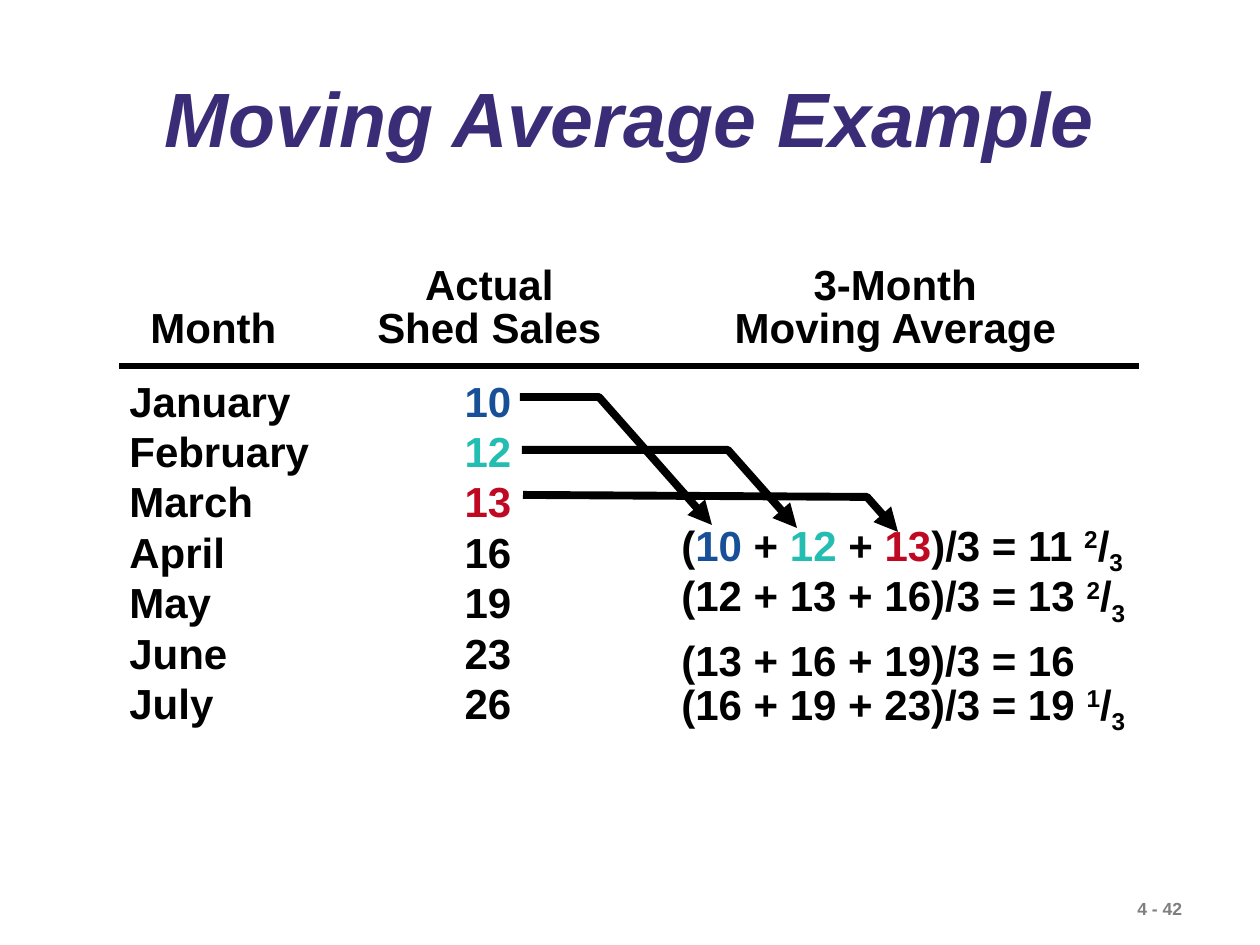
from lxml.etree import SubElement
from pptx import Presentation
from pptx.dml.color import RGBColor
from pptx.enum.shapes import MSO_CONNECTOR
from pptx.enum.text import MSO_ANCHOR, PP_ALIGN
from pptx.oxml.ns import qn
from pptx.util import Emu, Pt

TITLE = "Moving Average Example"
PAGE = "4 - 42"
HEADERS = ["\t\tActual\t3-Month", "\tMonth\tShed Sales\tMoving Average"]
SALES = [("January", 10), ("February", 12), ("March", 13), ("April", 16),
         ("May", 19), ("June", 23), ("July", 26)]
WINDOW = 3
ARROWS = [
    [(520, 397), (599, 397), (712, 525)],
    [(522, 450), (728, 450), (797, 528)],
    [(523, 495), (867, 497), (898, 532)],
]
THEME = {
    "font": "Arial", "title": "3A2C76", "text": "000000", "page": "7F7F7F",
    "highlights": ["175097", "24BDB2", "BF0922"],
    "title_size": 44, "body_size": 24, "page_size": 10,
    "header_pitch": 24.6, "row_pitch": 28.8, "june_gap": 4.5,
    "rule": 3, "arrow": 4.5,
}
SUPERSCRIPT, SUBSCRIPT = 30000, -25000
PX = 914400 // 126
LEFT, TOP, RIGHT = 117, 369, 1142
HEADER_TABS = [(79, "ctr"), (355, "ctr"), (761, "ctr")]
SALES_TABS = [(382, "r")]
AVERAGE_INDENT = 552


def px(n):
    return Emu(n * PX)


def color(name):
    return RGBColor.from_string(name)


def add_text(s, box, paragraphs, size, pitch=None, tabs=(), base_color=THEME["text"]):
    """Each paragraph is a list of (text, colour or None, baseline) runs."""
    tf = s.shapes.add_textbox(*map(px, box)).text_frame
    tf.word_wrap = True
    for i, runs in enumerate(paragraphs):
        p = tf.paragraphs[0] if i == 0 else tf.add_paragraph()
        if tabs:
            tab_list = SubElement(p._p.get_or_add_pPr(), qn("a:tabLst"))
            for pos, align in tabs:
                SubElement(tab_list, qn("a:tab"), pos=str(px(pos)), algn=align)
        if pitch:
            p.line_spacing = Pt(pitch)
        for text, run_color, baseline in runs:
            r = p.add_run()
            r.text = text
            r.font.name = THEME["font"]
            r.font.size = Pt(size)
            r.font.bold = True
            r.font.color.rgb = color(run_color or base_color)
            if baseline:
                r.font._element.set("baseline", str(baseline))
    return tf


def average_runs(first):
    """Write the mean of the months from first on as a sum and a mixed number."""
    values = [value for _, value in SALES[first:first + WINDOW]]
    whole, rest = divmod(sum(values), WINDOW)
    runs = [("(", None, 0)]
    for i, value in enumerate(values):
        if i:
            runs.append((" + ", None, 0))
        runs.append((str(value), THEME["highlights"][i] if first == 0 else None, 0))
    runs.append((f")/{WINDOW} = {whole}" + (" " if rest else ""), None, 0))
    if rest:
        runs += [(str(rest), None, SUPERSCRIPT), ("/", None, 0),
                 (str(WINDOW), None, SUBSCRIPT)]
    return runs


def add_arrow(s, points):
    start, *rest = [(px(x), px(y)) for x, y in points]
    builder = s.shapes.build_freeform(*start)
    builder.add_line_segments(rest, close=False)
    sp = builder.convert_to_shape()
    sp.shadow.inherit = False
    sp.fill.background()
    sp.line.color.rgb = color(THEME["text"])
    sp.line.width = Pt(THEME["arrow"])
    ln = sp.line._get_or_add_ln()
    SubElement(ln, qn("a:round"))
    SubElement(ln, qn("a:tailEnd"), type="triangle")


def main():
    prs = Presentation()
    prs.slide_width, prs.slide_height = px(1260), px(945)
    s = prs.slides.add_slide(prs.slide_layouts[6])
    size = THEME["body_size"]

    tf = add_text(s, (94, 60, 1072, 125), [[(TITLE, None, 0)]],
                  THEME["title_size"], base_color=THEME["title"])
    tf.vertical_anchor = MSO_ANCHOR.MIDDLE
    p = tf.paragraphs[0]
    p.alignment = PP_ALIGN.CENTER
    p.line_spacing = 0.9
    p.runs[0].font.italic = True

    add_text(s, (122, 260, 960, 98), [[(line, None, 0)] for line in HEADERS],
             size, THEME["header_pitch"], HEADER_TABS)
    rule = s.shapes.add_connector(MSO_CONNECTOR.STRAIGHT,
                                  px(119), px(366), px(1139), px(366))
    rule.line.color.rgb = color(THEME["text"])
    rule.line.width = Pt(THEME["rule"])
    SubElement(rule._element.spPr, qn("a:effectLst"))

    highlights = THEME["highlights"] + [None] * (len(SALES) - WINDOW)
    rows = [[(f"{month}\t", None, 0), (str(value), highlight, 0)]
            for (month, value), highlight in zip(SALES, highlights)]
    add_text(s, (LEFT, TOP, RIGHT - LEFT, 365), rows, size,
             THEME["row_pitch"], SALES_TABS)

    averages = [average_runs(first) for first in range(len(SALES) - WINDOW)]
    left = LEFT + AVERAGE_INDENT
    top = TOP + round(WINDOW * THEME["row_pitch"] * 126 / 72)
    tf = add_text(s, (left, top, RIGHT - left, 222), averages, size, THEME["row_pitch"])
    tf.paragraphs[2].space_before = Pt(THEME["june_gap"])

    for points in ARROWS:
        add_arrow(s, points)
    add_text(s, (1125, 892, 135, 34), [[(PAGE, None, 0)]], THEME["page_size"],
             base_color=THEME["page"])
    prs.save("out.pptx")


if __name__ == "__main__":
    main()
